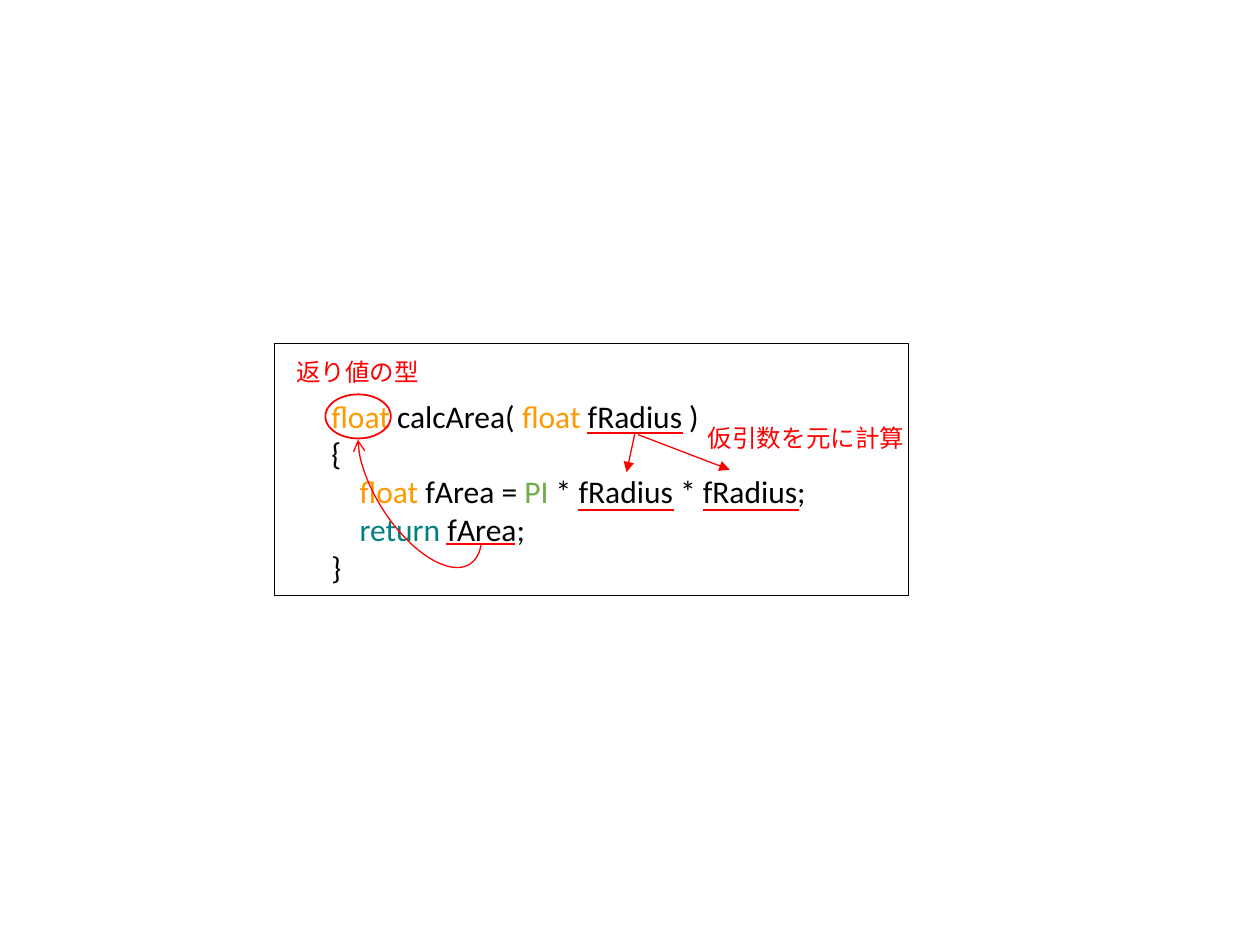
import pptx
import pptx.util
import pptx.dml.color
import pptx.enum.shapes
import pptx.enum.text
import pptx.oxml.ns
import lxml.etree

Cm = pptx.util.Cm
Pt = pptx.util.Pt
SHAPES = pptx.enum.shapes.MSO_SHAPE
BLACK, RED, ORANGE, GREEN, TEAL = "000000", "FF0000", "FF9900", "70AD47", "008080"

CODE_LINES = [
    (0, [("float", ORANGE), (" calcArea( ", BLACK), ("float", ORANGE), (" fRadius )", BLACK)]),
    (0, [("{", BLACK)]),
    (0.57, [("float", ORANGE), (" fArea = ", BLACK), ("PI", GREEN),
            (" * fRadius * fRadius;", BLACK)]),
    (0.57, [("return", TEAL), (" fArea;", BLACK)]),
    (0, [("}", BLACK)]),
]
UNDERLINES = [(6.3, 1.8, 1.93), (6.12, 3.35, 1.93), (8.64, 3.35, 1.93), (3.45, 4.04, 1.4)]
ARGUMENT_ARROWS = [((7.26, 1.8), (7.09, 2.59)), ((7.32, 1.83), (9.17, 2.54))]


def color(value):
    """Turn a hex string into a colour."""
    return pptx.dml.color.RGBColor.from_string(value)


def style_line(shape, value, width, arrow=None):
    """Set line colour and width, with an optional arrowhead at the end."""
    shape.line.color.rgb = color(value)
    shape.line.width = Pt(width)
    if arrow:
        outline = shape.line._get_or_add_ln()
        lxml.etree.SubElement(outline, pptx.oxml.ns.qn("a:tailEnd"), type=arrow)


def add_outline(page, kind, box, value, width, arrow=None):
    """Add an unfilled preset shape in a box given in centimetres."""
    shape = page.shapes.add_shape(kind, *map(Cm, box))
    shape.shadow.inherit = False
    shape.fill.background()
    style_line(shape, value, width, arrow)
    return shape


def add_stroke(page, start, end, width, arrow=None):
    """Add a straight red line between two points."""
    stroke = page.shapes.add_connector(
        pptx.enum.shapes.MSO_CONNECTOR.STRAIGHT, *map(Cm, (*start, *end)))
    style_line(stroke, RED, width, arrow)
    lxml.etree.SubElement(stroke._element.spPr, pptx.oxml.ns.qn("a:effectLst"))


def add_text(page, box, lines, size):
    """Add unwrapped text from lines of an indent and coloured spans."""
    frame = page.shapes.add_textbox(*map(Cm, box)).text_frame
    frame.word_wrap = False
    frame.auto_size = pptx.enum.text.MSO_AUTO_SIZE.SHAPE_TO_FIT_TEXT
    for index, (indent, spans) in enumerate(lines):
        para = frame.add_paragraph() if index else frame.paragraphs[0]
        if indent:
            para._p.get_or_add_pPr().set("marL", str(Cm(indent)))
        for words, value in spans:
            span = para.add_run()
            span.text = words
            span.font.name = "Calibri"
            span.font.size = Pt(size)
            span.font.color.rgb = color(value)


def add_code(page, left, top, width, height):
    """Draw the framed function listing."""
    add_outline(page, SHAPES.RECTANGLE, (left, top, width, height), BLACK, 0.5)
    add_text(page, (left + 0.89, top + 0.94, 10.21, 4.11), CODE_LINES, 18)


def add_return_note(page, left, top):
    """Mark the return type and the value that flows back to it."""
    add_outline(page, SHAPES.OVAL, (left + 1.02, top + 1.02, 1.32, 0.89), RED, 1)
    arc = add_outline(page, SHAPES.ARC, (left + 1.07, top + 2.01, 3.71, 1.75),
                      RED, 0.75, "arrow")
    arc.adjustments[0], arc.adjustments[1] = 207.73, 96.16
    arc.rotation = 57
    add_text(page, (left + 0.18, top + 0.15, 3, 0.86), [(0, [("返り値の型", RED)])], 14)


def add_argument_note(page, left, top):
    """Underline the names and point from the parameter to its uses."""
    for x, y, length in UNDERLINES:
        add_stroke(page, (left + x, top + y), (left + x + length, top + y), 1)
    for start, end in ARGUMENT_ARROWS:
        add_stroke(page, (left + start[0], top + start[1]),
                   (left + end[0], top + end[1]), 0.75, "triangle")
    add_text(page, (left + 8.48, top + 1.47, 4.5, 0.86),
             [(0, [("仮引数を元に計算", RED)])], 14)


def main():
    """Build and save the deck."""
    deck = pptx.Presentation()
    deck.slide_width, deck.slide_height = Cm(25.4), Cm(19.05)
    page = deck.slides.add_slide(deck.slide_layouts[6])
    left, top = 5.54, 6.93
    add_code(page, left, top, 12.78, 5.08)
    add_return_note(page, left, top)
    add_argument_note(page, left, top)
    deck.save("out.pptx")


main()
